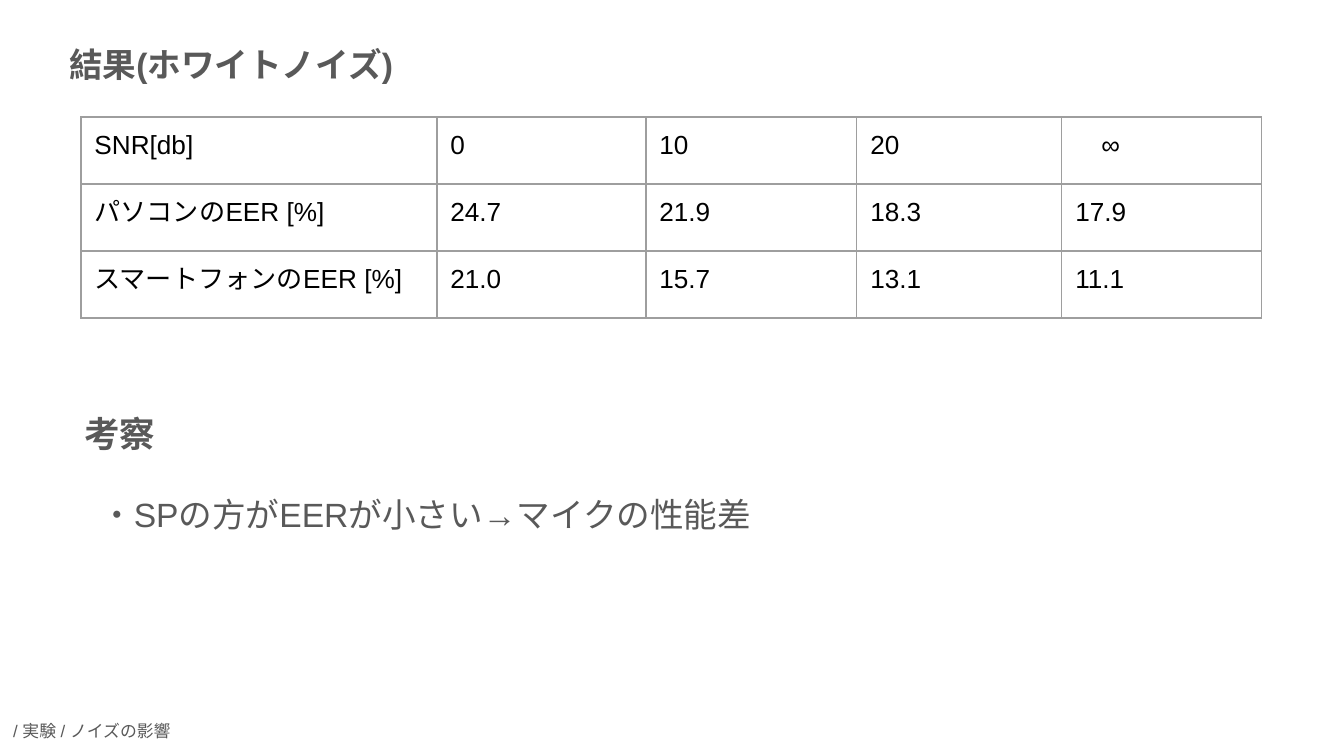
from lxml import etree
from pptx import Presentation
from pptx import util as u
from pptx.dml import color
from pptx.enum import text
from pptx.oxml import ns

SCALE = 914400 / 134.4
FONT = "Arial"
GREY, BLACK, BORDER = "595959", "000000", "9E9E9E"
COLUMNS = [356, 209, 211, 205, 200]
ROW_HEIGHT = 67
RESULTS = [
    ["SNR[db]", "0", "10", "20", "　∞"],
    ["パソコンのEER [%]", "24.7", "21.9", "18.3", "17.9"],
    ["スマートフォンのEER [%]", "21.0", "15.7", "13.1", "11.1"],
]
TEXTS = [
    ((56, 31, 466, 51), "結果(ホワイトノイズ)", 18, True),
    ((71, 399, 305, 81), "考察", 19, True),
    ((87, 481, 1181, 223), "・SPの方がEERが小さい→マイクの性能差", 18, False),
    ((0, 711, 594, 45), "/ 実験 / ノイズの影響", 9, False),
]


def px(length):
    """Turn whole pixels into EMU."""
    return u.Emu(round(length * SCALE))


def rgb(value):
    """Turn a hex string into a colour."""
    return color.RGBColor.from_string(value)


def assign(target, values):
    """Set every attribute named in a dict."""
    for name, value in values.items():
        setattr(target, name, value)


def write(frame, words, size, ink, bold=False):
    """Write one styled line into a text frame."""
    span = frame.paragraphs[0].add_run()
    span.text = words
    assign(span.font, {"name": FONT, "size": u.Pt(size), "bold": bold})
    span.font.color.rgb = rgb(ink)
    etree.SubElement(span.font._element, ns.qn("a:ea"), typeface=FONT)


def pad(target):
    """Give a box or cell equal inner margins."""
    sides = ("left", "top", "right", "bottom")
    assign(target, {f"margin_{side}": u.Inches(0.1) for side in sides})


def add_text(page, place, words, size, bold):
    """Add a top-anchored text box."""
    box = page.shapes.add_textbox(*map(px, place))
    frame = box.text_frame
    assign(frame, {"word_wrap": True, "vertical_anchor": text.MSO_ANCHOR.TOP})
    pad(frame)
    write(frame, words, size, GREY, bold)


def outline(cell):
    """Draw thin lines on all four sides of a cell."""
    properties = cell._tc.get_or_add_tcPr()
    for side in ("lnL", "lnR", "lnT", "lnB"):
        line = etree.SubElement(properties, ns.qn(f"a:{side}"), w=str(u.Pt(0.75)))
        fill = etree.SubElement(line, ns.qn("a:solidFill"))
        etree.SubElement(fill, ns.qn("a:srgbClr"), val=BORDER)


def add_results(page, left, top):
    """Add the table of error rates."""
    size = (px(sum(COLUMNS)), px(ROW_HEIGHT * len(RESULTS)))
    table = page.shapes.add_table(
        len(RESULTS), len(COLUMNS), px(left), px(top), *size).table
    assign(table, {"first_row": False, "horz_banding": False})
    for column, width in zip(table.columns, COLUMNS):
        column.width = px(width)
    for row, values in zip(table.rows, RESULTS):
        row.height = px(ROW_HEIGHT)
        for cell, value in zip(row.cells, values):
            pad(cell)
            outline(cell)
            cell.fill.background()
            write(cell.text_frame, value, 14, BLACK)


def main():
    """Build and save the slide."""
    deck = Presentation()
    assign(deck, {"slide_width": px(1344), "slide_height": px(756)})
    page = deck.slides.add_slide(deck.slide_layouts[6])
    add_results(page, 81, 117)
    for item in TEXTS:
        add_text(page, *item)
    deck.save("out.pptx")


if __name__ == "__main__":
    main()
